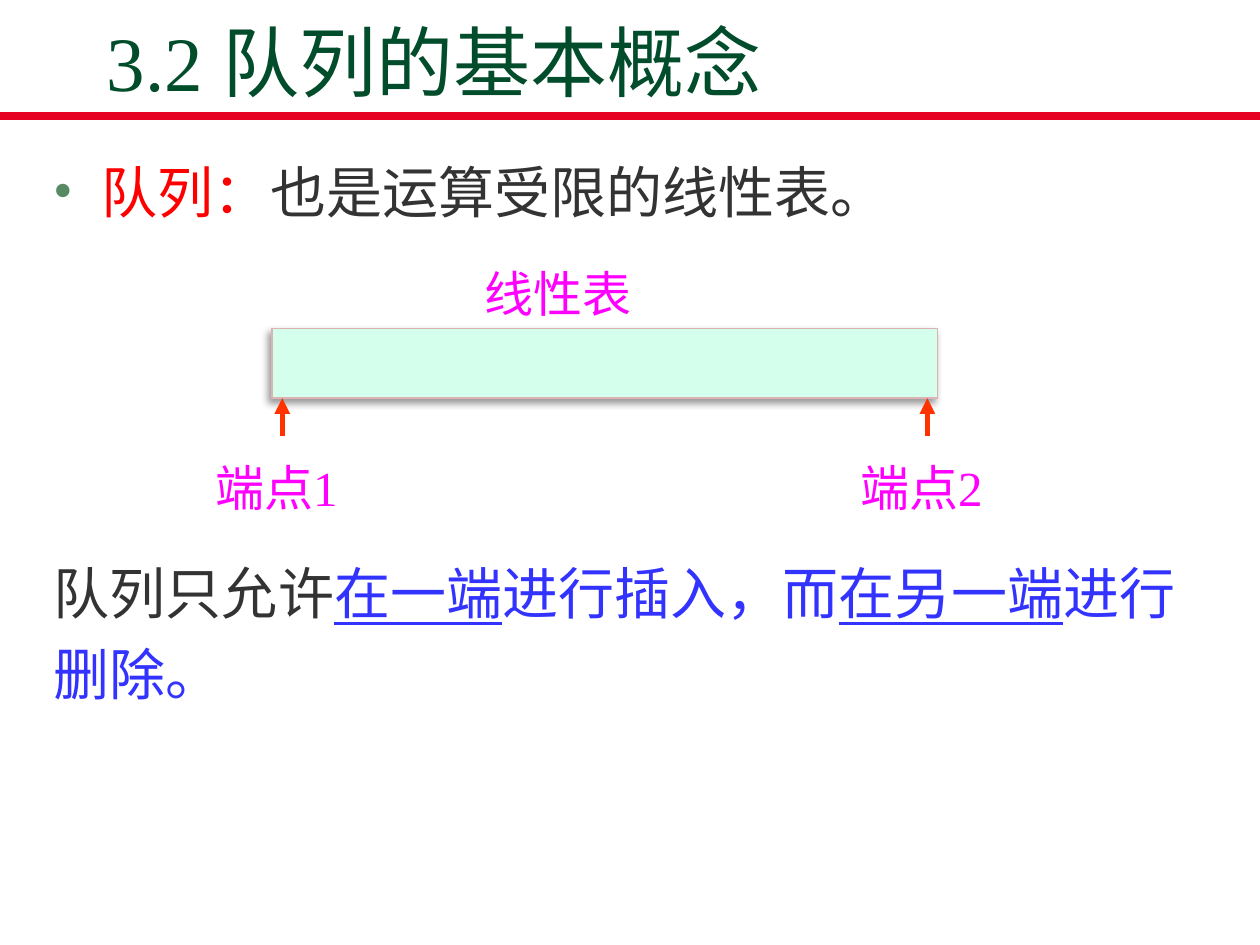
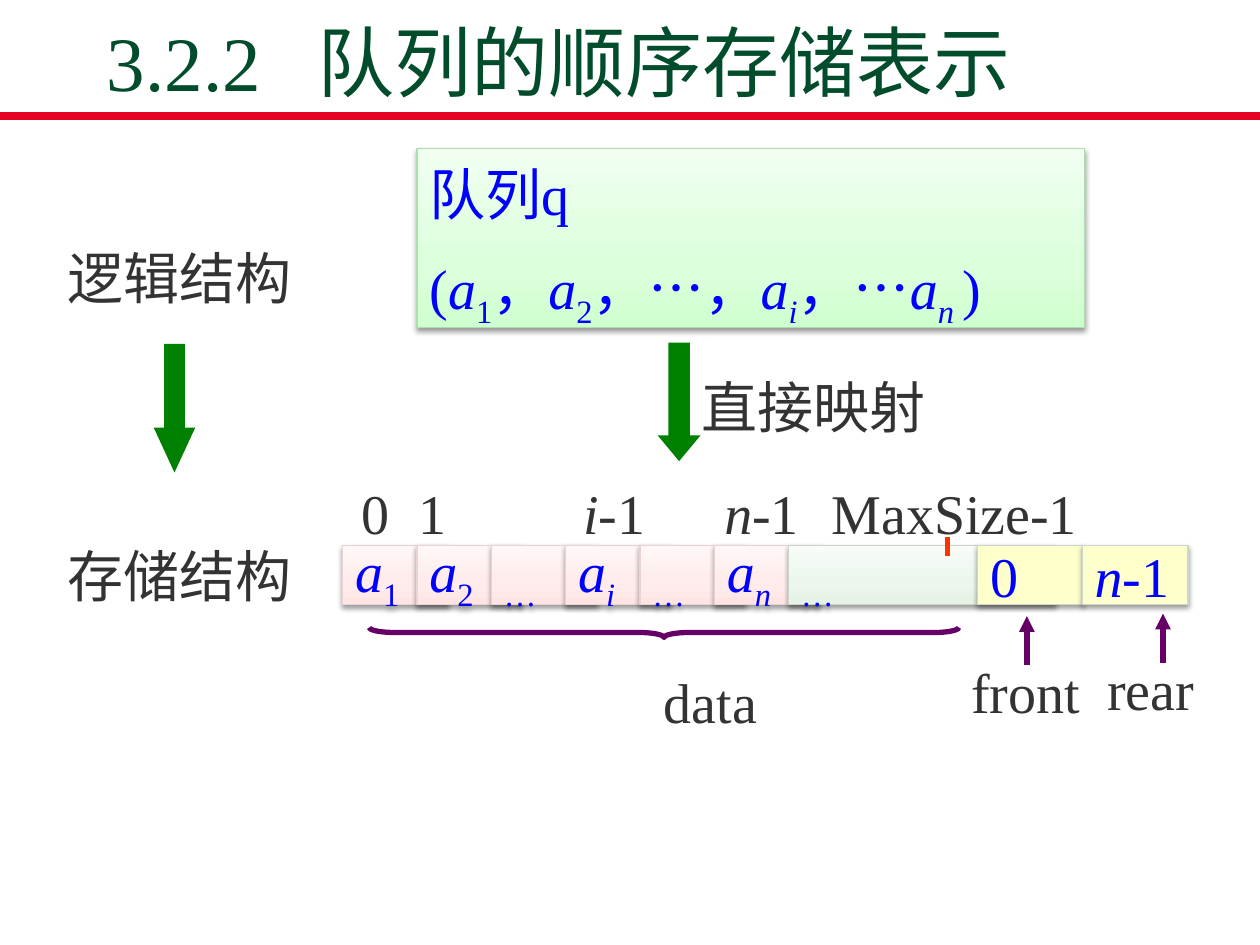
from lxml.etree import SubElement
from pptx import Presentation
from pptx.dml.color import RGBColor
from pptx.enum.shapes import MSO_CONNECTOR, MSO_SHAPE
from pptx.enum.text import MSO_ANCHOR as Anchor, MSO_AUTO_SIZE as AutoSize, PP_ALIGN as Align
from pptx.oxml.ns import qn
from pptx.util import Inches, Pt

LATIN, CJK = "Times New Roman", "Noto Sans CJK SC"
TITLE_GREEN = RGBColor(0x00, 0x4C, 0x2B)
RULE_RED = RGBColor(0xE6, 0x02, 0x23)
INK = RGBColor(0x33, 0x33, 0x33)
RED = RGBColor(0xFF, 0x00, 0x00)
BLUE = RGBColor(0x00, 0x00, 0xFF)
SOFT_BLUE = RGBColor(0x33, 0x33, 0xFF)
MAGENTA = RGBColor(0xFF, 0x00, 0xFF)
ORANGE = RGBColor(0xFF, 0x33, 0x00)
PURPLE = RGBColor(0x66, 0x00, 0x66)
ARROW_GREEN = RGBColor(0x00, 0x80, 0x00)
MINT = RGBColor(0xD4, 0xFF, 0xEC)
MINT_EDGE = RGBColor(0xDD, 0xB2, 0xB2)
YELLOW = RGBColor(0xFF, 0xFF, 0xCC)
GREY_EDGE = RGBColor(0xCC, 0xD6, 0xCC)
PINK_EDGE = RGBColor(0xE9, 0xD3, 0xD3)
GREEN_EDGE = RGBColor(0xAE, 0xDD, 0xAE)
BULLET_GREEN = "578963"
GREEN_FADE = ("CFFFCF", "DCFFDC", "F1FFF1")
PINK_FADE = ("FFE4E4", "FFEBEB", "FFF7F7")
GREY_FADE = ("E5F2E5", "ECF6EC", "F7FCF7")
FADE_STOPS = (0, 35, 100)
SOFT_SHADOW = (38, 3.1, 1.6, 90)
SIDE_SHADOW = (40, 4, 3, 135)
ITALIC, SUB, UNDERLINE = "i", "_", "u"
ITALIC_SUB = ITALIC + SUB

CONCEPT_TITLE = "3.2 队列的基本概念"
DEFINITION = [("队列：", "", RED), ("也是运算受限的线性表。", "", INK)]
RULE = [("队列只允许", "", INK), ("在一端", UNDERLINE, SOFT_BLUE), ("进行插入，而", "", SOFT_BLUE),
        ("在另一端", UNDERLINE, SOFT_BLUE), ("进行删除。", "", SOFT_BLUE)]
ENDPOINTS = [("端点1", 2.24, 1.75), ("端点2", 7.36, 1.59)]

STORAGE_TITLE = "3.2.2\t队列的顺序存储表示"
QUEUE = [
    [("队列q", "")],
    [("(", ""), ("a", ITALIC), ("1", SUB), ("，", ""), ("a", ITALIC), ("2", SUB), ("，…，", ""),
     ("a", ITALIC), ("i", ITALIC_SUB), ("，…", ""), ("a", ITALIC), ("n ", ITALIC_SUB), (")", "")],
]
ELEMENTS = [
    [("a", ITALIC), ("1", SUB)],
    [("a", ITALIC), ("2", SUB)],
    [("…", SUB)],
    [("a", ITALIC), ("i", ITALIC_SUB)],
    [("…", SUB)],
    [("a", ITALIC), ("n", ITALIC_SUB)],
]
FREE_SPACE = [("…", SUB)]
POINTERS = [
    ("front", [("0", "")], 7.76, (7.61, 5.06), 8.15),
    ("rear", [("n", ITALIC), ("-1", "")], 8.59, (8.69, 5.04), 9.23),
]
LABELS = [
    ([("直接映射", "")], 5.47, 2.8, 2.12),
    ([("MaxSize-1", "")], 6.5, 3.64, 2.35),
    ([("0", "")], 2.77, 3.64, 0.78),
    ([("1", "")], 3.22, 3.64, 0.78),
    ([("i", ITALIC), ("-1", "")], 4.53, 3.64, 0.89),
    ([("n", ITALIC), ("-1", "")], 5.65, 3.64, 1),
    ([("data", "")], 5.17, 5.14, 0.97),
    ([("逻辑结构", "")], 0.44, 1.78, 2.68),
    ([("存储结构", "")], 0.44, 4.14, 2.68),
]
DOWN_ARROWS = [(5.22, 2.72, 0.34, 0.94, 0.6), (1.22, 2.73, 0.33, 1.02, 1.08)]
CELL_LEFT, CELL_TOP, CELL_PITCH = 2.72, 4.33, 0.59
CELL_WIDTH, CELL_HEIGHT = 0.84, 0.47


def box(at):
    return [Inches(length) for length in at]


def write(frame, paragraphs, size, color, spacing=1.2):
    for index, runs in enumerate(paragraphs):
        paragraph = frame.paragraphs[0] if index == 0 else frame.add_paragraph()
        paragraph.alignment = Align.LEFT
        paragraph.line_spacing = spacing
        if index:
            paragraph.space_before = Pt(size * 0.2)
        for words, style, *own_color in runs:
            run = paragraph.add_run()
            run.text = words
            font = run.font
            font.size = Pt(size)
            font.color.rgb = own_color[0] if own_color else color
            font.name = LATIN
            font.italic = ITALIC in style
            font.underline = UNDERLINE in style
            properties = run._r.get_or_add_rPr()
            if SUB in style:
                properties.set("baseline", "-25000")
            SubElement(properties, qn("a:ea"), typeface=CJK)


def add_text(shapes, at, runs, size=32, color=INK, spacing=1.2, grow=True):
    frame = shapes.add_textbox(*box(at)).text_frame
    frame.word_wrap = True
    frame.auto_size = AutoSize.SHAPE_TO_FIT_TEXT if grow else AutoSize.NONE
    write(frame, [runs], size, color, spacing)
    return frame


def add_line(shapes, start, end, color, width=3, arrow=False):
    line = shapes.add_connector(MSO_CONNECTOR.STRAIGHT, *box(start + end))
    line.line.color.rgb = color
    line.line.width = Pt(width)
    properties = line._element.spPr
    if arrow:
        SubElement(properties.find(qn("a:ln")), qn("a:tailEnd"), type="triangle")
    SubElement(properties, qn("a:effectLst"))


def fade(shape, colors):
    shape.fill.gradient()
    shape.fill.gradient_angle = 90
    stops = shape._element.spPr.find(qn("a:gradFill")).find(qn("a:gsLst"))
    for stop in list(stops):
        stops.remove(stop)
    for position, color in zip(FADE_STOPS, colors):
        stop = SubElement(stops, qn("a:gs"), pos=str(position * 1000))
        SubElement(stop, qn("a:srgbClr"), val=color)


def add_panel(shapes, at, fill, edge, shadow=SOFT_SHADOW):
    panel = shapes.add_shape(MSO_SHAPE.RECTANGLE, *box(at))
    if isinstance(fill, RGBColor):
        panel.fill.solid()
        panel.fill.fore_color.rgb = fill
    else:
        fade(panel, fill)
    panel.line.color.rgb = edge
    panel.line.width = Pt(0.75)
    panel.shadow.inherit = False
    alpha, blur, distance, angle = shadow
    outer = SubElement(panel._element.spPr.find(qn("a:effectLst")), qn("a:outerShdw"),
                       blurRad=str(Pt(blur)), dist=str(Pt(distance)),
                       dir=str(angle * 60000), algn="ctr", rotWithShape="0")
    tint = SubElement(outer, qn("a:srgbClr"), val="000000")
    SubElement(tint, qn("a:alpha"), val=str(alpha * 1000))
    frame = panel.text_frame
    frame.word_wrap = False
    frame.vertical_anchor = Anchor.MIDDLE
    return frame


def add_cell(shapes, left, runs, fill, edge, width=CELL_WIDTH):
    frame = add_panel(shapes, (left, CELL_TOP, width, CELL_HEIGHT), fill, edge)
    frame.margin_top = frame.margin_bottom = 0
    write(frame, [runs], 32, BLUE, 1.0)


def add_titled_slide(deck, title):
    slide = deck.slides.add_slide(deck.slide_layouts[6])
    add_line(slide.shapes, (0, 0.92), (10, 0.92), RULE_RED, 4.5)
    frame = add_text(slide.shapes, (0.75, 0.25, 8.5, 0.65), [(title, "")], 44, TITLE_GREEN, 1.0, False)
    frame.vertical_anchor = Anchor.BOTTOM
    if "\t" in title:
        tabs = SubElement(frame.paragraphs[0]._p.get_or_add_pPr(), qn("a:tabLst"))
        SubElement(tabs, qn("a:tab"), pos=str(Inches(1.67)), algn="l")
    return slide.shapes


def build_concept(deck):
    shapes = add_titled_slide(deck, CONCEPT_TITLE)
    definition = add_text(shapes, (0.33, 1.2, 9.28, 0.7), DEFINITION, spacing=1.0, grow=False)
    properties = definition.paragraphs[0]._p.get_or_add_pPr()
    properties.set("marL", str(Inches(0.38)))
    properties.set("indent", str(Inches(-0.38)))
    SubElement(SubElement(properties, qn("a:buClr")), qn("a:srgbClr"), val=BULLET_GREEN)
    SubElement(properties, qn("a:buFont"), typeface=LATIN)
    SubElement(properties, qn("a:buChar"), char="•")

    add_panel(shapes, (2.16, 2.61, 5.28, 0.55), MINT, MINT_EDGE, SIDE_SHADOW)
    endpoints = shapes.add_group_shape().shapes
    for name, x, width in ENDPOINTS:
        add_line(endpoints, (x, 3.46), (x, 3.16), ORANGE, arrow=True)
        add_text(endpoints, (x - 0.63, 3.49, width, 0.66), [(name, "")], 28, MAGENTA)
    add_text(shapes, (3.75, 1.95, 2.03, 0.66), [("线性表", "")], 28, MAGENTA)
    add_text(shapes, (0.33, 4.28, 9.28, 1.28), RULE, grow=False)


def build_storage(deck):
    shapes = add_titled_slide(deck, STORAGE_TITLE)
    queue = add_panel(shapes, (3.31, 1.18, 5.3, 1.42), GREEN_FADE, GREEN_EDGE)
    write(queue, QUEUE, 32, BLUE)
    for *at, head in DOWN_ARROWS:
        arrow = shapes.add_shape(MSO_SHAPE.DOWN_ARROW, *box(at))
        arrow.adjustments[1] = head
        arrow.fill.solid()
        arrow.fill.fore_color.rgb = ARROW_GREEN
        arrow.line.fill.background()
        arrow.shadow.inherit = False

    for index, element in enumerate(ELEMENTS):
        add_cell(shapes, CELL_LEFT + index * CELL_PITCH, element, PINK_FADE, PINK_EDGE)
    free_left = CELL_LEFT + len(ELEMENTS) * CELL_PITCH
    add_cell(shapes, free_left, FREE_SPACE, GREY_FADE, GREY_EDGE, 2.12)

    for name, value, cell_left, label, x in POINTERS:
        add_cell(shapes, cell_left, value, YELLOW, GREY_EDGE)
        add_text(shapes, label + (1.23, 0.75), [(name, "")])
        add_line(shapes, (x, label[1] + 0.22), (x, label[1] - 0.17), PURPLE, arrow=True)
    for runs, left, top, width in LABELS:
        add_text(shapes, (left, top, width, 0.75), runs)
    add_line(shapes, (7.52, 4.26), (7.52, 4.41), ORANGE)

    brace = shapes.add_shape(MSO_SHAPE.RIGHT_BRACE, *box((5.23, 2.68, 0.08, 4.68)))
    brace.rotation = 90
    brace.adjustments[0] = 2.49
    brace.fill.background()
    brace.line.color.rgb = PURPLE
    brace.line.width = Pt(3)
    brace.shadow.inherit = False


def main():
    deck = Presentation()
    deck.slide_width, deck.slide_height = Inches(10), Inches(7.5)
    build_concept(deck)
    build_storage(deck)
    deck.save("out.pptx")


if __name__ == "__main__":
    main()
